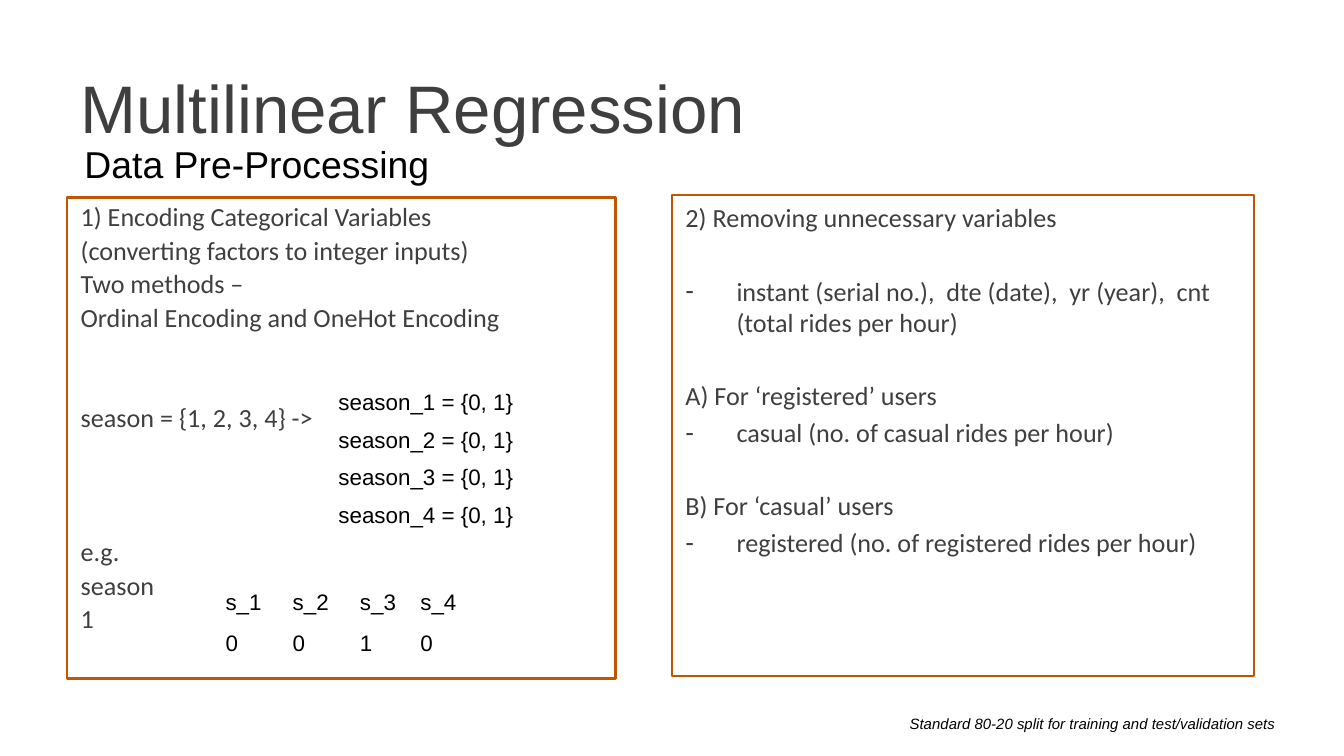
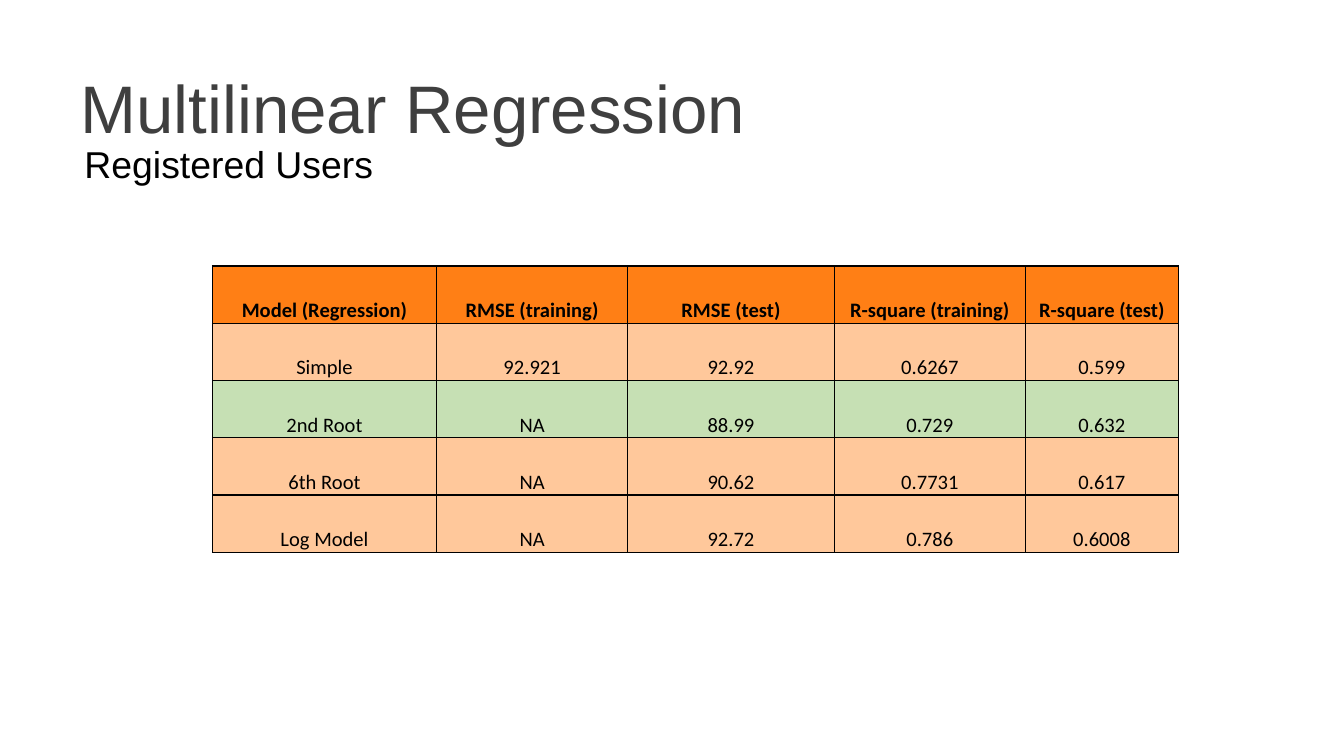
"""Build two slides on multilinear regression: data preparation and results for registered users."""
from lxml.etree import SubElement
from pptx import Presentation
from pptx.dml.color import RGBColor
from pptx.enum.text import MSO_ANCHOR as Anchor, MSO_AUTO_SIZE as AutoSize, PP_ALIGN as Align
from pptx.oxml.ns import qn
from pptx.util import Inches, Pt

COLORS = {
    "text": "3F3F3F", "black": "000000", "frame": "BF5700",
    "header": "FF7F15", "row": "FFC89B", "best": "C6E0B4",
}
INSETS = {
    "margin_left": Inches(0.1), "margin_right": Inches(0.1),
    "margin_top": Inches(0.05), "margin_bottom": Inches(0.05),
}
CELL_FORMAT = {
    "margin_left": Inches(0.01), "margin_right": Inches(0.01),
    "margin_top": Inches(0.01), "margin_bottom": 0,
    "vertical_anchor": Anchor.BOTTOM,
}


def write(para, text, size, name="Arial", color="black", **formats):
    span = para.add_run()
    span.text = text
    span.font.color.rgb = RGBColor.from_string(COLORS[color])
    for key, value in {"size": Pt(size), "name": name, **formats}.items():
        setattr(span.font, key, value)


def prepare(box, place, **formats):
    for key, value in zip(("left", "top", "width", "height"), place):
        setattr(box, key, Inches(value))
    for key, value in {**INSETS, "word_wrap": True, **formats}.items():
        setattr(box.text_frame, key, value)
    return box.text_frame.paragraphs[0]


deck = Presentation()
deck.slide_width = Inches(10)
deck.slide_height = deck.slide_width * 9 // 16

pages = []
for layout, subtitle, width in ((3, "Data Pre-Processing", 3.31), (5, "Registered Users", 2.42)):
    page = deck.slides.add_slide(deck.slide_layouts[layout])
    para = prepare(page.shapes.title, (0.5, 0.56, 7.17, 0.46),
                   vertical_anchor=Anchor.MIDDLE, auto_size=AutoSize.NONE)
    para.alignment = Align.LEFT
    write(para, "Multilinear Regression", 36, color="text")
    box = page.shapes.add_textbox(0, 0, 0, 0)
    write(prepare(box, (0.53, 1, width, 0.44)), subtitle, 20)
    pages.append(page)
data_page, result_page = pages

encoding = [
    ("1) Encoding Categorical Variables", 0),
    ("(converting factors to integer inputs)", 2.8),
    ("Two methods –", 2.8),
    ("Ordinal Encoding and OneHot Encoding", 2.8),
    ("season = {1, 2, 3, 4} ->", 38.5),
    ("e.g.", 56.8),
    ("season", 2.8),
    ("1", 2.8),
]
removal = [
    ("2) Removing unnecessary variables", 0),
    ("- instant (serial no.),  dte (date),  yr (year),  cnt (total rides per hour)", 22.5),
    ("A) For ‘registered’ users", 22.5),
    ("- casual (no. of casual rides per hour)", 2.8),
    ("B) For ‘casual’ users", 22.5),
    ("- registered (no. of registered rides per hour)", 2.8),
]
panels = [
    (1, (0.5, 1.47, 4.08, 3.58), 0.9, encoding),
    (2, (5, 1.45, 4.33, 3.58), 1.0, removal),
]
for index, place, spacing, lines in panels:
    box = data_page.placeholders[index]
    para = prepare(box, place, vertical_anchor=Anchor.TOP, auto_size=AutoSize.NONE)
    box.line.color.rgb = RGBColor.from_string(COLORS["frame"])
    box.line.width = Pt(1.25)
    for number, (text, before) in enumerate(lines):
        if number:
            para = box.text_frame.add_paragraph()
        listed = text.startswith("- ")
        indent = Inches(0.38) if listed else 0
        props = para._p.get_or_add_pPr()
        props.set("marL", str(indent))
        props.set("indent", str(-indent))
        if listed:
            SubElement(props, qn("a:buChar"), char="-")
        else:
            SubElement(props, qn("a:buNone"))
        for key, value in {"line_spacing": spacing, "space_before": Pt(before),
                           "space_after": Pt(0), "alignment": Align.LEFT}.items():
            setattr(para, key, value)
        write(para, text.removeprefix("- "), 14, "Calibri", "text")

for number in range(4):
    box = data_page.shapes.add_textbox(0, 0, 0, 0)
    para = prepare(box, (2.42, 2.84 + 0.28 * number, 1.83, 0.3))
    write(para, f"season_{number + 1} = {{0, 1}}", 12)

box = data_page.shapes.add_textbox(0, 0, 0, 0)
para = prepare(box, (1.58, 4.23, 2, 0.67))
for values in (("s_1", "s_2", "s_3", "s_4"), ("0", "0", "1", "0")):
    if para.runs:
        para = box.text_frame.add_paragraph()
    tabs = SubElement(para._p.get_or_add_pPr(), qn("a:tabLst"))
    for stop in (0.5, 1, 1.45):
        SubElement(tabs, qn("a:tab"), pos=str(Inches(stop)), algn="l")
    para.line_spacing = 1.5
    write(para, "\t".join(values), 12)

box = data_page.shapes.add_textbox(0, 0, 0, 0)
para = prepare(box, (6.67, 5.27, 3.3, 0.24))
write(para, "Standard 80-20 split for training and test/validation sets", 8, italic=True)

results = [
    ("header", "Model (Regression)", "RMSE (training)", "RMSE (test)",
     "R-square (training)", "R-square (test)"),
    ("row", "Simple", "92.921", "92.92", "0.6267", "0.599"),
    ("best", "2nd Root", "NA", "88.99", "0.729", "0.632"),
    ("row", "6th Root", "NA", "90.62", "0.7731", "0.617"),
    ("row", "Log Model", "NA", "92.72", "0.786", "0.6008"),
]
widths = (1.67, 1.42, 1.54, 1.42, 1.14)
table_height = Inches(2.13)
table = result_page.shapes.add_table(
    len(results), len(widths), Inches(1.58), Inches(1.98),
    Inches(sum(widths)), table_height).table
for column, width in zip(table.columns, widths):
    column.width = Inches(width)
for row, (kind, *values) in zip(table.rows, results):
    row.height = table_height // len(results)
    for cell, text in zip(row.cells, values):
        for key, value in CELL_FORMAT.items():
            setattr(cell, key, value)
        props = cell._tc.get_or_add_tcPr()
        for side in ("lnL", "lnR", "lnT", "lnB"):
            border = SubElement(props, qn(f"a:{side}"), w=str(Pt(0.75)))
            SubElement(SubElement(border, qn("a:solidFill")), qn("a:srgbClr"), val=COLORS["black"])
        cell.fill.solid()
        cell.fill.fore_color.rgb = RGBColor.from_string(COLORS[kind])
        para = cell.text_frame.paragraphs[0]
        para.alignment = Align.CENTER
        write(para, text, 11, "Calibri", bold=kind == "header")

deck.save("out.pptx")
